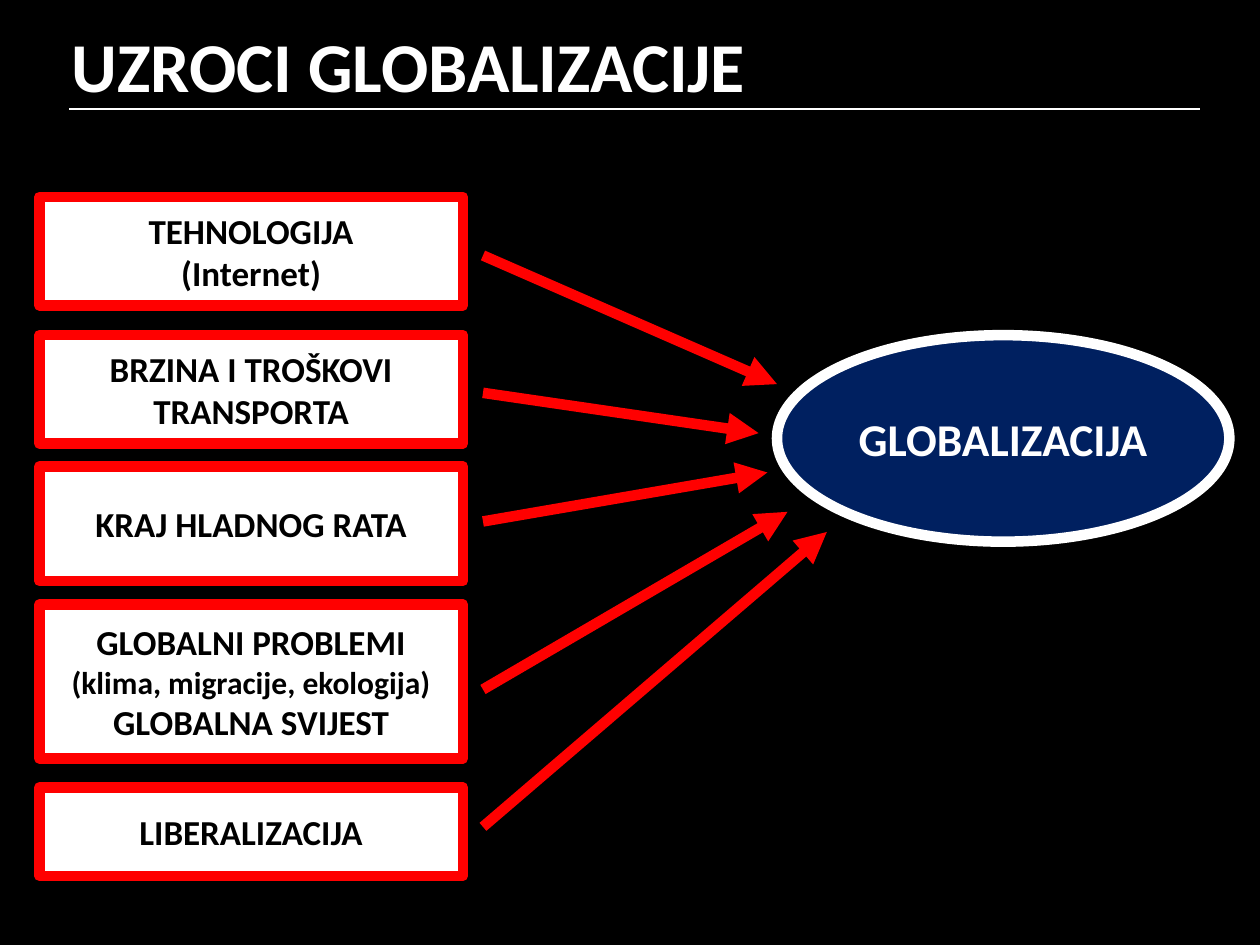
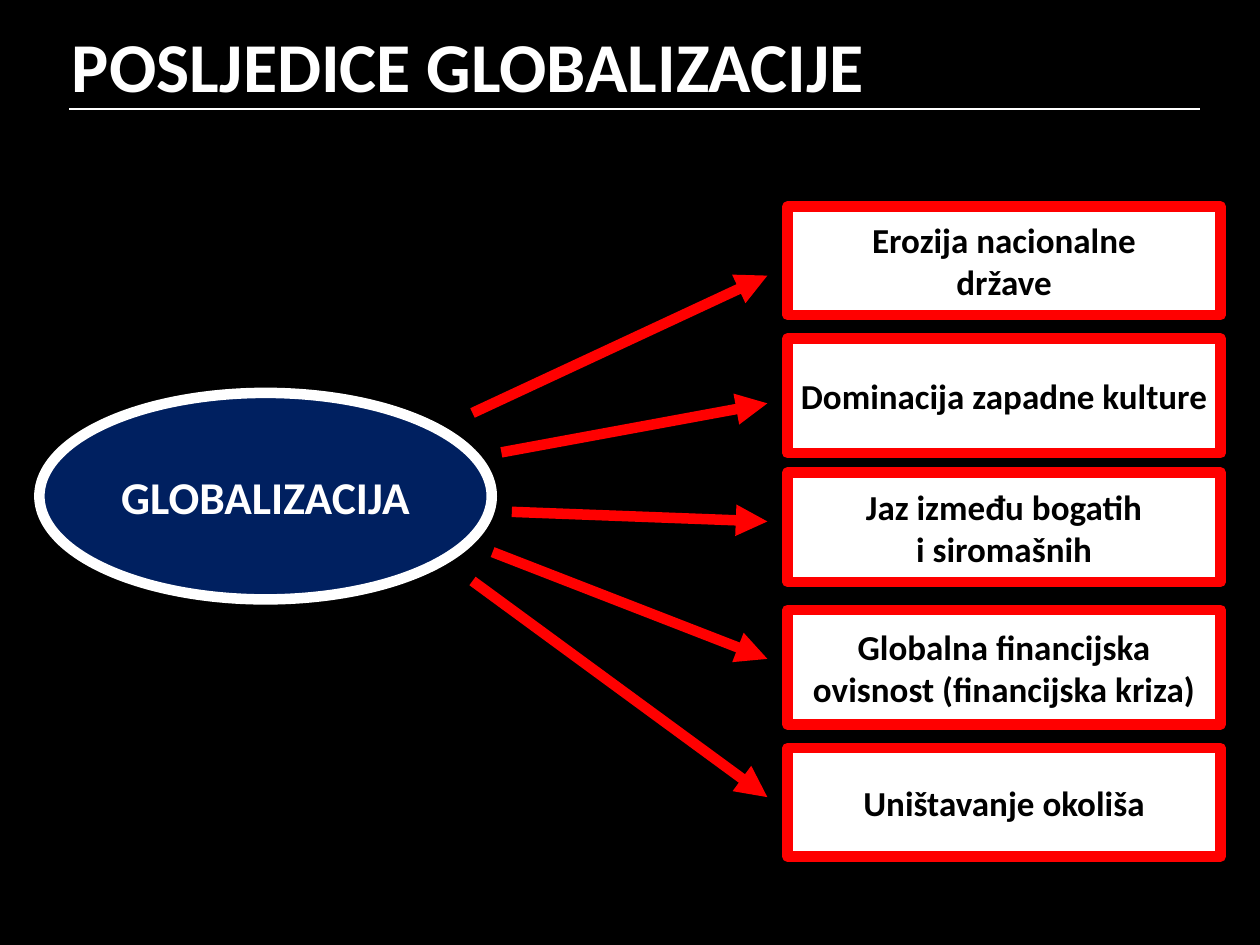
import dataclasses
from typing import Any

import lxml.etree
import pptx
import pptx.dml.color
import pptx.enum.shapes
import pptx.enum.text
import pptx.oxml.ns
import pptx.util

BLACK, WHITE, RED, NAVY = "000000", "FFFFFF", "FF0000", "002060"
FONT = "Calibri"
THICK, THIN = 6, 1
HUB_WIDTH, HUB_HEIGHT = 258.5, 118

Pt = pptx.util.Pt
SHAPES = pptx.enum.shapes.MSO_SHAPE
ALIGN = pptx.enum.text.PP_ALIGN


@dataclasses.dataclass(frozen=True)
class Line:
    text: str
    size: float = 20


@dataclasses.dataclass(frozen=True)
class Box:
    top: float
    height: float
    lines: tuple[Line, ...]


@dataclasses.dataclass(frozen=True)
class Arrow:
    x1: float
    y1: float
    x2: float
    y2: float


@dataclasses.dataclass(frozen=True)
class Diagram:
    title: str
    hub_left: float
    hub_top: float
    box_left: float
    box_width: float
    boxes: tuple[Box, ...]
    arrows: tuple[Arrow, ...]


CAUSES = Diagram(
    "UZROCI GLOBALIZACIJE", 444, 191.5, 22.5, 242,
    boxes=(
        Box(112.5, 62, (Line("TEHNOLOGIJA"), Line("(Internet)"))),
        Box(191.5, 62, (Line("BRZINA I TROŠKOVI TRANSPORTA"),)),
        Box(266.5, 65.5, (Line("KRAJ HLADNOG RATA"),)),
        Box(345.5, 88, (Line("GLOBALNI PROBLEMI"),
                        Line("(klima, migracije, ekologija)", 18),
                        Line("GLOBALNA SVIJEST"))),
        Box(450, 50.5, (Line("LIBERALIZACIJA"),)),
    ),
    arrows=(
        Arrow(276, 146, 444, 219.5),
        Arrow(276, 224.5, 433.5, 247.5),
        Arrow(276, 298, 438.5, 270),
        Arrow(276, 394, 450, 292.5),
        Arrow(276, 472.5, 472.5, 304),
    ),
)

EFFECTS = Diagram(
    "POSLJEDICE GLOBALIZACIJE", 22.5, 224.5, 450, 247.5,
    boxes=(
        Box(118, 62, (Line("Erozija nacionalne"), Line("države"))),
        Box(193.5, 65.5, (Line("Dominacija zapadne kulture"),)),
        Box(270, 62.5, (Line("Jaz između bogatih"), Line("i siromašnih"))),
        Box(348.5, 65.5,
            (Line("Globalna financijska ovisnost (financijska kriza)"),)),
        Box(427.5, 62, (Line("Uništavanje okoliša"),)),
    ),
    arrows=(
        Arrow(270, 236, 438.5, 157.5),
        Arrow(286.5, 258.5, 438.5, 230.5),
        Arrow(292.5, 292.5, 438.5, 298),
        Arrow(281.5, 315.5, 438.5, 376.5),
        Arrow(270, 332, 438.5, 455.5),
    ),
)


def rgb(value: str) -> pptx.dml.color.RGBColor:
    return pptx.dml.color.RGBColor.from_string(value)


def set_format(target: Any, values: dict[str, Any]) -> None:
    for name, value in values.items():
        setattr(target, name, value)


def add_tag(parent: Any, tag: str, **attributes: str) -> None:
    lxml.etree.SubElement(parent, pptx.oxml.ns.qn(tag), attributes)


def set_line(sp: Any, color: str, width: float) -> None:
    sp.line.color.rgb = rgb(color)
    sp.line.width = Pt(width)


def write(sp: Any, lines: tuple[Line, ...], color: str, align: Any,
          side_inset: float) -> None:
    """Fill a shape with one bold paragraph per line, centred vertically."""
    tf = sp.text_frame
    set_format(tf, {
        "word_wrap": True,
        "vertical_anchor": pptx.enum.text.MSO_ANCHOR.MIDDLE,
        "margin_left": Pt(side_inset),
        "margin_right": Pt(side_inset),
    })
    for i, line in enumerate(lines):
        p = tf.add_paragraph() if i else tf.paragraphs[0]
        p.alignment = align
        r = p.add_run()
        r.text = line.text
        set_format(r.font, {"name": FONT, "size": Pt(line.size), "bold": True})
        r.font.color.rgb = rgb(color)


def add_figure(slide: Any, kind: Any, left: float, top: float, width: float,
               height: float, fill: str, outline: str) -> Any:
    sp = slide.shapes.add_shape(kind, Pt(left), Pt(top), Pt(width), Pt(height))
    sp.shadow.inherit = False
    sp.fill.solid()
    sp.fill.fore_color.rgb = rgb(fill)
    set_line(sp, outline, THICK)
    add_tag(sp.line._get_or_add_ln(), "a:round")
    return sp


def add_line(slide: Any, ends: Arrow, color: str, width: float) -> Any:
    sp = slide.shapes.add_connector(
        pptx.enum.shapes.MSO_CONNECTOR.STRAIGHT,
        Pt(ends.x1), Pt(ends.y1), Pt(ends.x2), Pt(ends.y2))
    set_line(sp, color, width)
    add_tag(sp._element.spPr, "a:effectLst")
    return sp


def add_title(slide: Any, title: str) -> None:
    add_line(slide, Arrow(39.5, 62.5, 686, 62.5), WHITE, THIN)
    sp = slide.shapes.add_textbox(Pt(34), Pt(6), Pt(680), Pt(62))
    write(sp, (Line(title, 40),), WHITE, ALIGN.LEFT, 7.2)


def add_diagram(prs: Any, diagram: Diagram) -> None:
    slide = prs.slides.add_slide(prs.slide_layouts[6])
    add_title(slide, diagram.title)
    hub = add_figure(slide, SHAPES.OVAL, diagram.hub_left, diagram.hub_top,
                     HUB_WIDTH, HUB_HEIGHT, NAVY, WHITE)
    write(hub, (Line("GLOBALIZACIJA", 26),), WHITE, ALIGN.CENTER, 4)
    for box in diagram.boxes:
        sp = add_figure(slide, SHAPES.RECTANGLE, diagram.box_left, box.top,
                        diagram.box_width, box.height, WHITE, RED)
        write(sp, box.lines, BLACK, ALIGN.CENTER, 4)
    for arrow in diagram.arrows:
        sp = add_line(slide, arrow, RED, THICK)
        add_tag(sp.line._get_or_add_ln(), "a:tailEnd", type="triangle")


def main() -> None:
    prs = pptx.Presentation()
    set_format(prs, {"slide_width": Pt(720), "slide_height": Pt(540)})
    fill = prs.slide_master.background.fill
    fill.solid()
    fill.fore_color.rgb = rgb(BLACK)
    for diagram in (CAUSES, EFFECTS):
        add_diagram(prs, diagram)
    prs.save("out.pptx")


if __name__ == "__main__":
    main()
